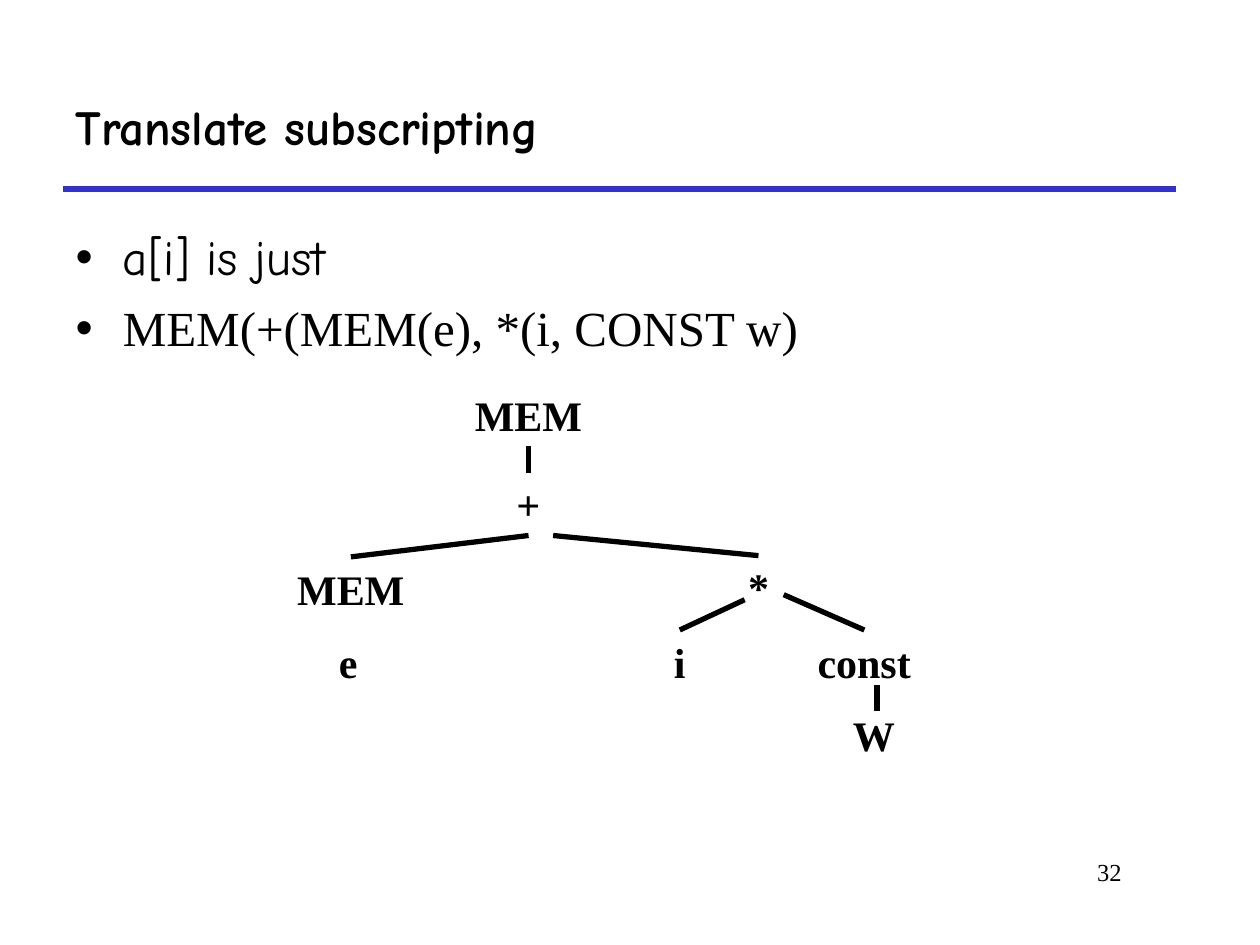
"""Build a slide showing array subscripting as an expression tree."""
from dataclasses import dataclass
from typing import Optional

from lxml import etree
from pptx import Presentation
from pptx import util as u
from pptx.dml.color import RGBColor
from pptx.enum import shapes, text
from pptx.oxml import ns

TOP, BOTTOM = 0, 2


@dataclass(frozen=True)
class Theme:
    """Colours, fonts and type sizes of the slide."""
    ink: RGBColor = RGBColor(0x00, 0x00, 0x00)
    rule: RGBColor = RGBColor(0x33, 0x33, 0xCC)
    display: str = "Comic Neue"
    serif: str = "Times New Roman"
    heading: int = 28
    node: int = 24
    number: int = 14
    stroke: int = 3


@dataclass(frozen=True)
class Node:
    """A tree label with its left, top and width in inches."""
    label: str
    x: float
    y: float
    w: float


@dataclass(frozen=True)
class Edge:
    """A branch with end points in inches and the nodes it joins."""
    start: tuple[float, float]
    end: tuple[float, float]
    parent: Optional[str] = None
    child: Optional[str] = None


THEME = Theme()
NODE_HEIGHT = 0.5
NODES = {
    "root": Node("MEM", 3.67, 3.04, 1.05),
    "plus": Node("+", 4, 3.75, 0.39),
    "base": Node("MEM", 2.26, 4.42, 1.05),
    "times": Node("*", 5.84, 4.41, 0.36),
    "e": Node("e", 2.59, 5, 0.35),
    "index": Node("i", 5.25, 5, 0.29),
    "const": Node("const", 6.39, 5, 0.94),
    "width": Node("W", 6.67, 5.58, 0.53),
}
EDGES = [
    Edge((4.2, 3.54), (4.2, 3.75), "root", "plus"),
    Edge((4.2, 4.25), (2.78, 4.42), "plus", "base"),
    Edge((4.39, 4.25), (6.02, 4.41), child="times"),
    Edge((5.91, 4.76), (5.4, 5), child="index"),
    Edge((6.22, 4.72), (6.86, 5), child="const"),
    Edge((6.96, 5.44), (6.96, 5.64)),
]
BULLETS = [
    ("a[i] is just", THEME.display),
    ("MEM(+(MEM(e), *(i, CONST w)", THEME.serif),
]


def place(sp, x: float, y: float, w: float, h: float) -> None:
    """Move and size a shape in inches."""
    sp.left, sp.top, sp.width, sp.height = map(u.Inches, (x, y, w, h))


def style(p, font: str, size: int, bold: bool = False) -> None:
    """Format every run of a paragraph."""
    for r in p.runs:
        r.font.name = font
        r.font.size = u.Pt(size)
        r.font.bold = bold
        r.font.color.rgb = THEME.ink


def add_label(slide, label: str, x: float, y: float, w: float, size: int,
              bold: bool = False):
    """Add a one-line serif text box."""
    sp = slide.shapes.add_textbox(*map(u.Inches, (x, y, w, NODE_HEIGHT)))
    sp.text_frame.text = label
    style(sp.text_frame.paragraphs[0], THEME.serif, size, bold)
    return sp


def add_line(slide, start: tuple[float, float], end: tuple[float, float],
             color: RGBColor):
    """Add a straight line without a shadow."""
    line = slide.shapes.add_connector(
        shapes.MSO_CONNECTOR.STRAIGHT, *map(u.Inches, (*start, *end)))
    line.line.color.rgb = color
    line.line.width = u.Pt(THEME.stroke)
    etree.SubElement(line._element.spPr, ns.qn("a:effectLst"))
    return line


def add_heading(slide) -> None:
    """Fill the title and draw the rule below it."""
    sp = slide.shapes.title
    place(sp, 0.5, 0.5, 8.83, 1)
    tf = sp.text_frame
    tf.text = "Translate subscripting"
    tf.auto_size = text.MSO_AUTO_SIZE.NONE
    tf.vertical_anchor = text.MSO_ANCHOR.MIDDLE
    p = tf.paragraphs[0]
    p.alignment = text.PP_ALIGN.LEFT
    style(p, THEME.display, THEME.heading, bold=True)
    add_line(slide, (0.5, 1.5), (9.33, 1.5), THEME.rule)


def add_bullets(slide) -> None:
    """Fill the body placeholder with the bullet list."""
    sp = slide.placeholders[1]
    place(sp, 0.5, 1.75, 8.83, 1.42)
    tf = sp.text_frame
    tf.text = "\n".join(line for line, _ in BULLETS)
    tf.auto_size = text.MSO_AUTO_SIZE.NONE
    for p, (_, font) in zip(tf.paragraphs, BULLETS):
        p.space_before = u.Pt(7)
        style(p, font, THEME.heading)


def add_tree(slide) -> None:
    """Draw the expression tree."""
    boxes = {}
    for key, node in NODES.items():
        sp = add_label(slide, node.label, node.x, node.y, node.w, THEME.node, True)
        sp.text_frame.word_wrap = False
        sp.text_frame.auto_size = text.MSO_AUTO_SIZE.SHAPE_TO_FIT_TEXT
        boxes[key] = sp
    for edge in EDGES:
        line = add_line(slide, edge.start, edge.end, THEME.ink)
        if edge.parent:
            line.begin_connect(boxes[edge.parent], BOTTOM)
        if edge.child:
            line.end_connect(boxes[edge.child], TOP)


def add_number(slide) -> None:
    """Add the slide number."""
    sp = add_label(slide, "32", 7.58, 6.75, 1.42, THEME.number)
    sp.text_frame.word_wrap = True
    sp.text_frame.paragraphs[0].alignment = text.PP_ALIGN.RIGHT


def main() -> None:
    """Build and save the presentation."""
    prs = Presentation()
    prs.slide_width, prs.slide_height = u.Inches(10), u.Inches(7.5)
    slide = prs.slides.add_slide(prs.slide_layouts[1])
    add_heading(slide)
    add_bullets(slide)
    add_tree(slide)
    add_number(slide)
    prs.save("out.pptx")


if __name__ == "__main__":
    main()
